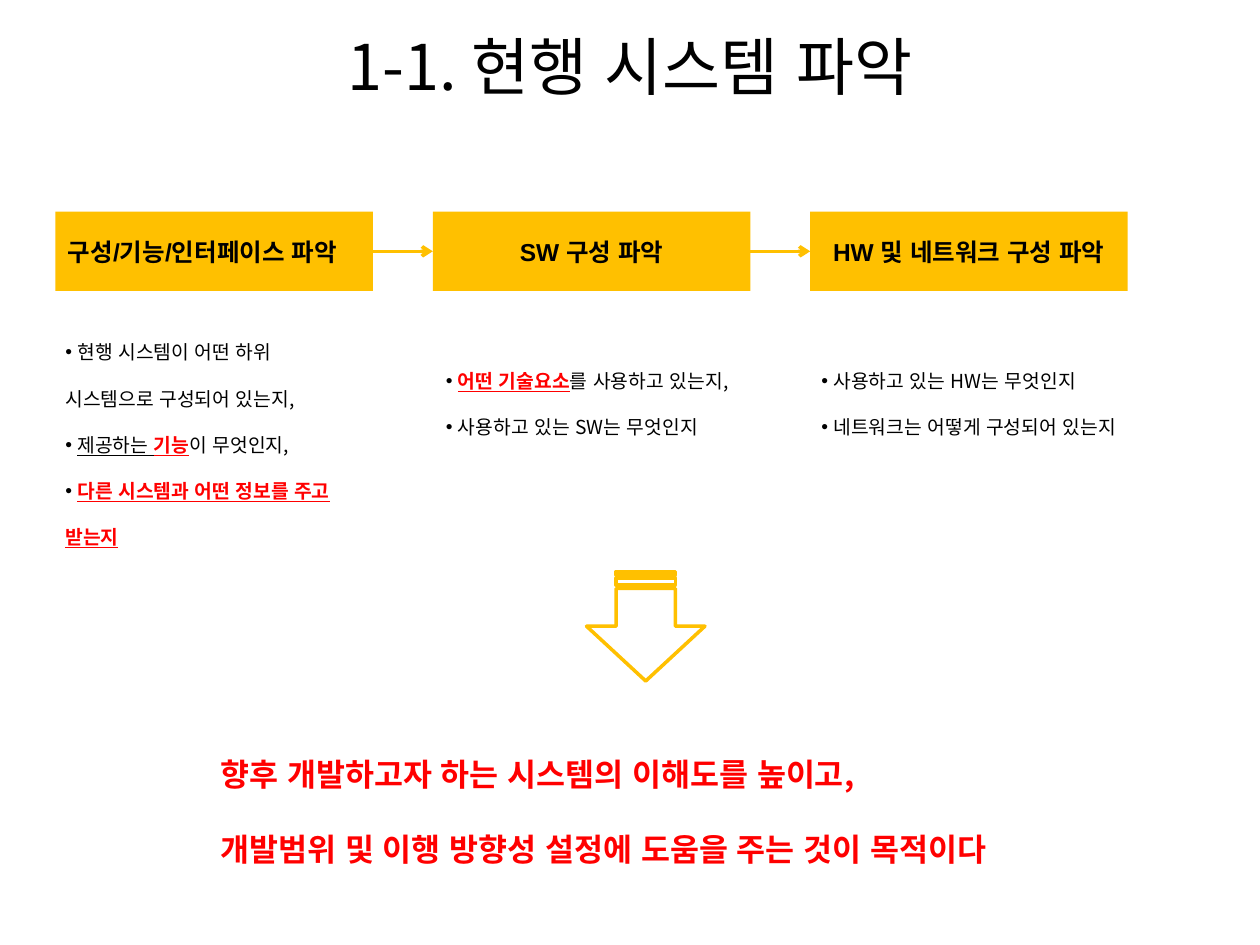
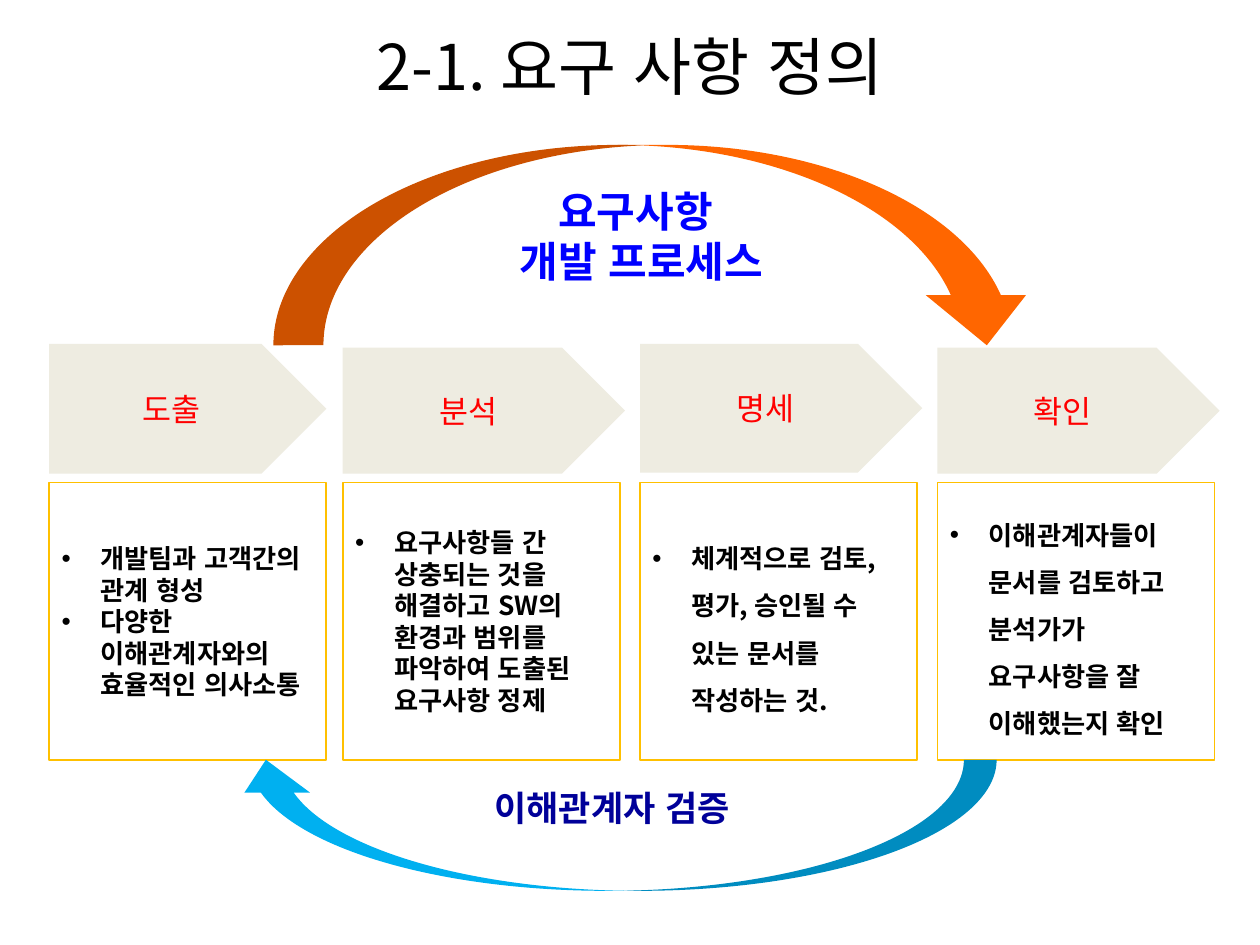
"""Build two slides on surveying the current system and defining requirements."""
from lxml import etree
from pptx import Presentation
from pptx import util as u
from pptx.dml import color
from pptx.enum import lang, shapes, text
from pptx.oxml import ns


class Theme:
    gold, cream, white, black = "FFC000", "EEECE1", "FFFFFF", "000000"
    red, blue, navy = "FF0000", "0000FF", "000099"
    orange, sky = "FF6600", "00B0F0"
    sans, latin = "Noto Sans CJK KR", "Arial"
    title, large, mid, head = 36, 24, 20, 18
    body, label, note = 15, 14, 11


LEFT, MID = text.PP_ALIGN.LEFT, text.PP_ALIGN.CENTER
TOP, CORE = text.MSO_ANCHOR.TOP, text.MSO_ANCHOR.MIDDLE
KIND = shapes.MSO_SHAPE
MARKS = {
    "plain": {},
    "line": {"underline": True},
    "key": {"underline": True, "bold": True, "tint": Theme.red},
}


def write(shape, paras, size=Theme.note, tint=Theme.black, font=Theme.sans, bold=False,
          align=LEFT, anchor=TOP, space=1.0, bullet=False, indent=0):
    """Fill a shape with paragraphs, each a string or a list of (text, mark) runs."""
    frame = shape.text_frame
    frame.word_wrap = True
    frame.vertical_anchor = anchor
    for i, para in enumerate(paras):
        p = frame.paragraphs[0] if i == 0 else frame.add_paragraph()
        p.alignment, p.line_spacing = align, space
        if bullet:
            props = p._p.get_or_add_pPr()
            props.set("marL", str(u.Inches(indent)))
            props.set("indent", str(-u.Inches(indent)))
            etree.SubElement(props, ns.qn("a:buFont"), typeface=Theme.latin)
            etree.SubElement(props, ns.qn("a:buChar"), char="•")
        for words, mark in [(para, "plain")] if isinstance(para, str) else para:
            run, style = p.add_run(), MARKS[mark]
            run.text = words
            run.font.size, run.font.name = u.Pt(size), font
            run.font.bold = style.get("bold", bold)
            run.font.underline = style.get("underline", False)
            run.font.color.rgb = color.RGBColor.from_string(style.get("tint", tint))
            run.font.language_id = lang.MSO_LANGUAGE_ID.KOREAN
            etree.SubElement(run._r.get_or_add_rPr(), ns.qn("a:ea"), typeface=Theme.sans)


def draw(slide, kind, box, fill=None, line=None, width=1):
    """Add a preset shape, or a text box when no kind is given."""
    place = [u.Inches(n) for n in box]
    if kind is None:
        return slide.shapes.add_textbox(*place)
    shape = slide.shapes.add_shape(kind, *place)
    shape.shadow.inherit = False
    if fill:
        shape.fill.solid()
        shape.fill.fore_color.rgb = color.RGBColor.from_string(fill)
    else:
        shape.fill.background()
    if line:
        shape.line.color.rgb = color.RGBColor.from_string(line)
        shape.line.width = u.Pt(width)
    else:
        shape.line.fill.background()
    return shape


deck = Presentation()
deck.slide_width, deck.slide_height = u.Inches(10), u.Inches(7.5)
pages = []
for title in ("1-1. 현행 시스템 파악", "2-1. 요구 사항 정의"):
    page = deck.slides.add_slide(deck.slide_layouts[6])
    write(draw(page, None, (0.12, 0.05, 9.76, 0.94)), [title],
          size=Theme.title, align=MID, anchor=CORE)
    pages.append(page)
survey, needs = pages

start, step, wide, top, high = 0.44, 2.995, 2.52, 1.68, 0.63
steps = [
    ("구성/기능/인터페이스 파악", LEFT, (0.42, 2.47, 2.54, 1.95), [
        " 현행 시스템이 어떤 하위 시스템으로 구성되어 있는지,",
        [(" ", "plain"), ("제공하는 ", "line"), ("기능", "key"), ("이 무엇인지,", "plain")],
        [(" ", "plain"), ("다른 시스템과 어떤 정보를 주고 받는지", "key")],
    ]),
    ("SW 구성 파악", MID, (3.44, 2.7, 2.83, 0.84), [
        [(" ", "plain"), ("어떤 기술요소", "key"), ("를 사용하고 있는지,", "plain")],
        " 사용하고 있는 SW는 무엇인지",
    ]),
    ("HW 및 네트워크 구성 파악", MID, (6.42, 2.7, 2.83, 0.84), [
        " 사용하고 있는 HW는 무엇인지",
        " 네트워크는 어떻게 구성되어 있는지",
    ]),
]
for i, (label, align, box, notes) in enumerate(steps):
    left = start + i * step
    write(draw(survey, KIND.RECTANGLE, (left, top, wide, high), Theme.gold), [label],
          size=Theme.label, font=Theme.latin, bold=True, align=align, anchor=CORE)
    write(draw(survey, None, box), notes, space=2.0, bullet=True)
    if i:
        y = u.Inches(top + high / 2)
        link = survey.shapes.add_connector(
            shapes.MSO_CONNECTOR.ELBOW, u.Inches(left - step + wide), y, u.Inches(left), y)
        link.line.color.rgb = color.RGBColor.from_string(Theme.gold)
        link.line.width = u.Pt(2)
        etree.SubElement(link.line._get_or_add_ln(), ns.qn("a:tailEnd"), type="arrow")
        etree.SubElement(link._element.spPr, ns.qn("a:effectLst"))

down = draw(survey, KIND.STRIPED_RIGHT_ARROW, (4.69, 4.5, 0.87, 0.94),
            line=Theme.gold, width=2)
down.rotation = 90
write(draw(survey, None, (1.65, 5.64, 6.98, 1.31)),
      ["향후 개발하고자 하는 시스템의 이해도를 높이고,",
       "개발범위 및 이행 방향성 설정에 도움을 주는 것이 목적이다"],
      size=Theme.head, tint=Theme.red, bold=True, space=2.0)

stages = [
    ("도출", (0.39, 2.73, 2.2, 1.03), 1.0,
     ["개발팀과 고객간의 관계 형성", "다양한 이해관계자와의 효율적인 의사소통"]),
    ("분석", (2.72, 2.76, 2.24, 1), 1.0,
     ["요구사항들 간 상충되는 것을 해결하고 SW의 환경과 범위를 파악하여 도출된 요구사항 정제"]),
    ("명세", (5.08, 2.73, 2.24, 1.02), 1.5,
     ["체계적으로 검토, 평가, 승인될 수 있는 문서를 작성하는 것."]),
    ("확인", (7.44, 2.76, 2.24, 1), 1.5,
     ["이해관계자들이 문서를 검토하고 분석가가 요구사항을 잘 이해했는지 확인"]),
]
for label, box, space, notes in stages:
    write(draw(needs, KIND.PENTAGON, box, Theme.cream), [label],
          size=Theme.head, tint=Theme.red, align=MID, anchor=CORE)
    write(draw(needs, KIND.RECTANGLE, (box[0], 3.83, 2.2, 2.2), Theme.white, Theme.gold),
          notes, size=Theme.body, bold=True, anchor=CORE, space=space,
          bullet=True, indent=0.31)

loops = [
    ((2.17, 1.15, 6.06, 1.59), Theme.orange, 0, (3.36, 1.42, 3.46, 0.91),
     ["요구사항 ", "개발 프로세스"], Theme.large, Theme.blue),
    ((1.85, 6.03, 6.06, 1.04), Theme.sky, 180, (3.13, 6.19, 3.46, 0.44),
     ["이해관계자 검증"], Theme.mid, Theme.navy),
]
for curve, fill, turn, box, words, size, tint in loops:
    draw(needs, KIND.CURVED_DOWN_ARROW, curve, fill).rotation = turn
    write(draw(needs, None, box), words, size=size, tint=tint, bold=True, align=MID)

deck.save("out.pptx")
